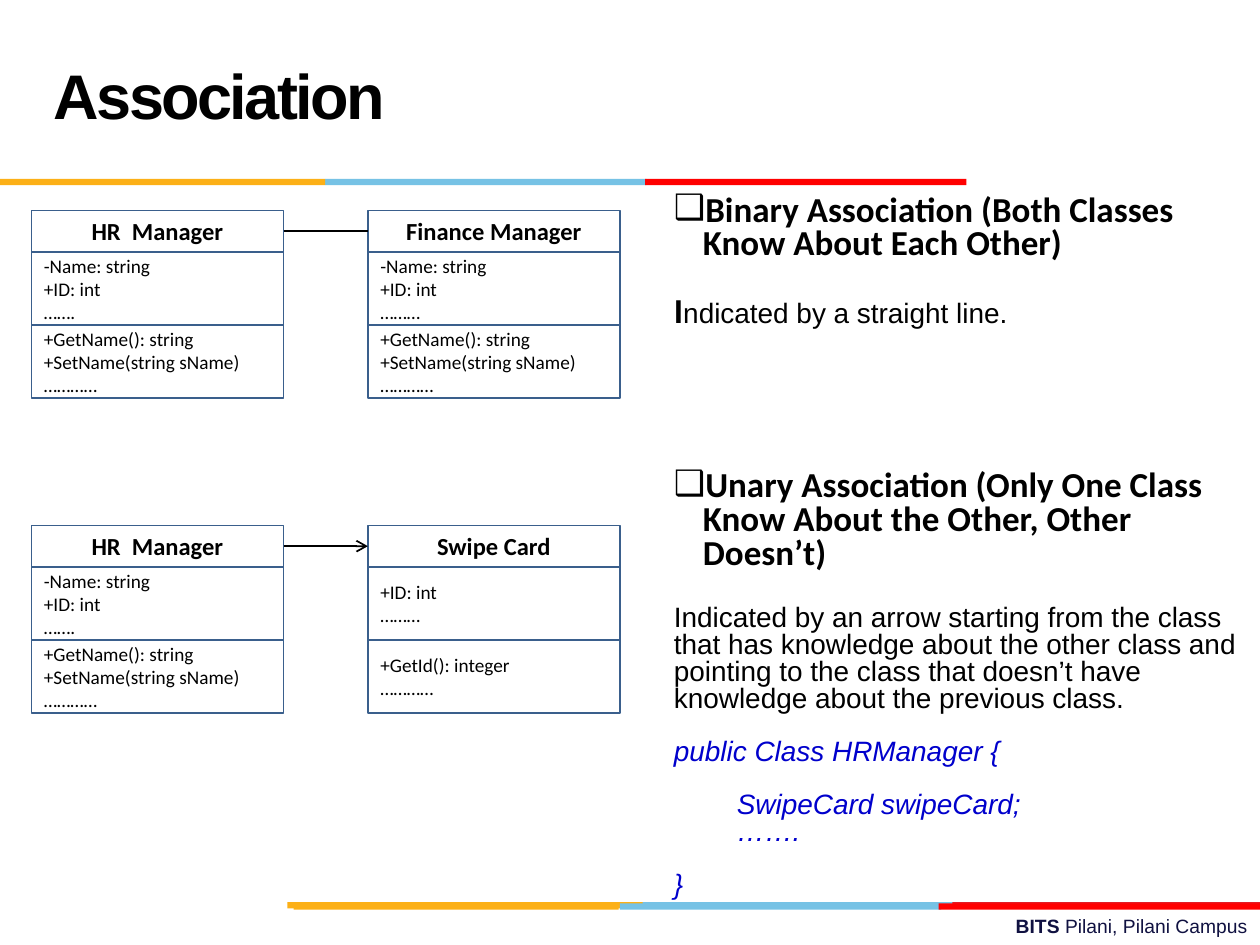
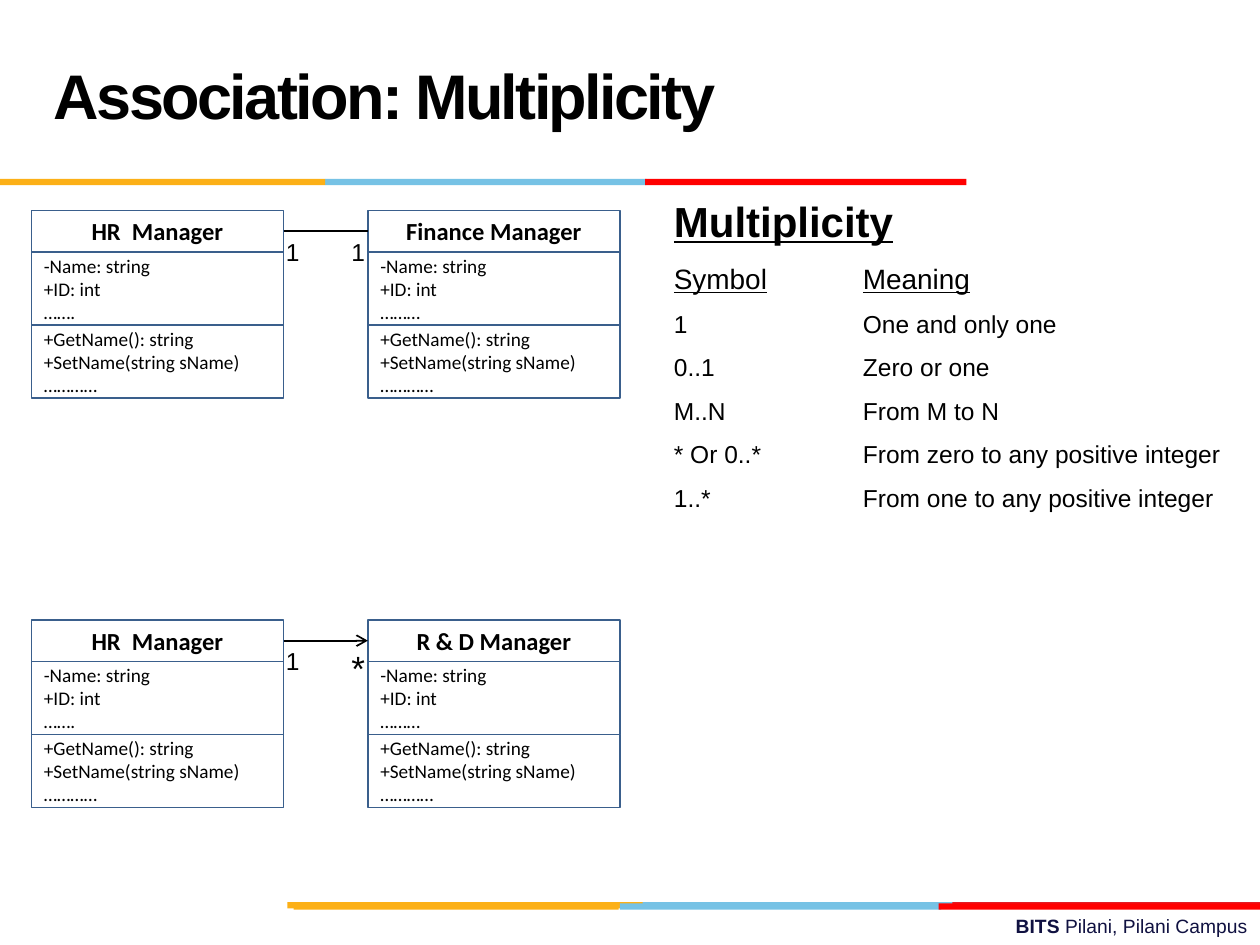
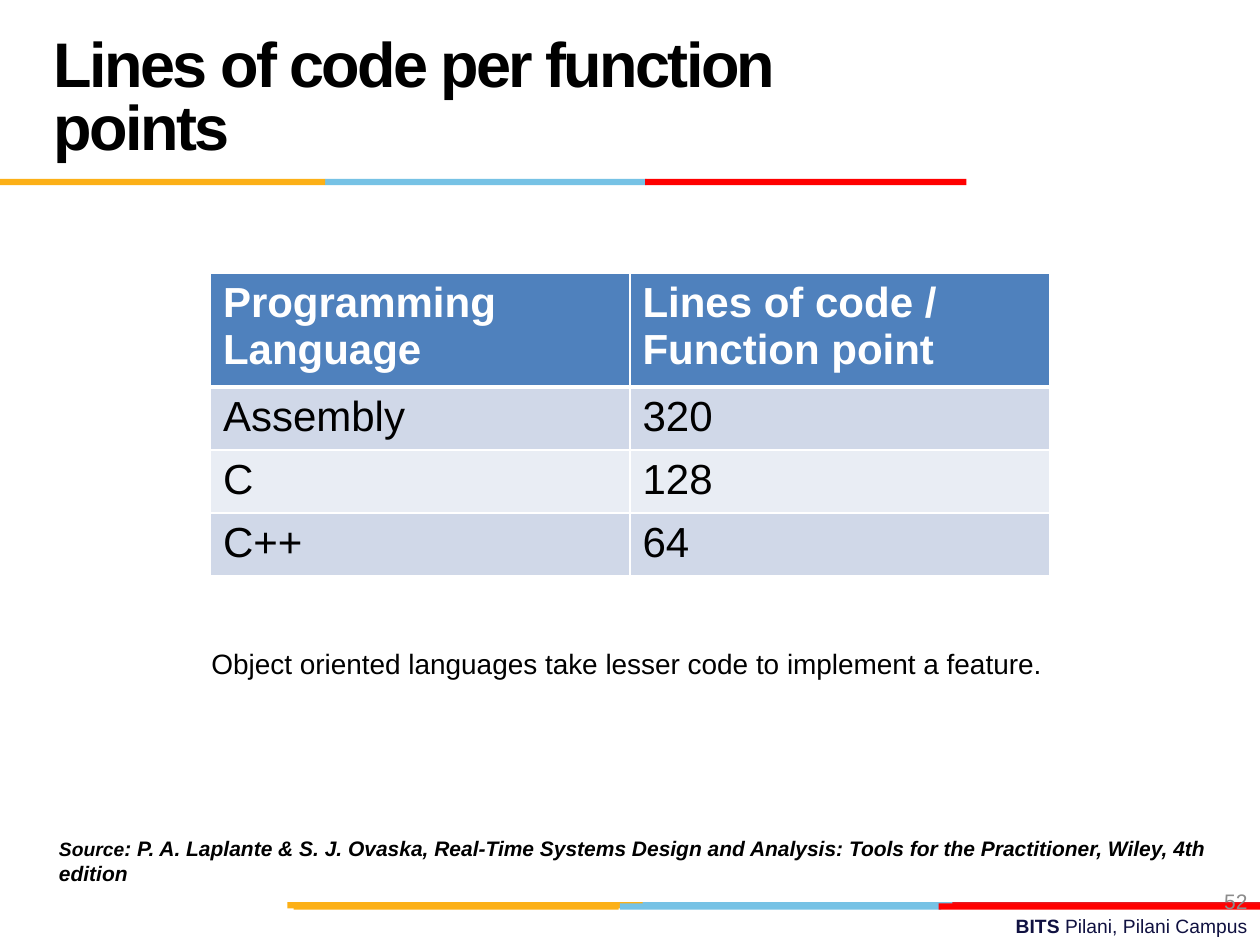
import pptx
import pptx.dml.color
import pptx.enum.shapes
import pptx.enum.text
import pptx.oxml.ns
import pptx.util
from lxml import etree

Inches = pptx.util.Inches
Pt = pptx.util.Pt
RGBColor = pptx.dml.color.RGBColor
qn = pptx.oxml.ns.qn
ALIGN = pptx.enum.text.PP_ALIGN
MIDDLE = pptx.enum.text.MSO_ANCHOR.MIDDLE
RECTANGLE = pptx.enum.shapes.MSO_SHAPE.RECTANGLE
STRAIGHT = pptx.enum.shapes.MSO_CONNECTOR.STRAIGHT

BLACK = RGBColor(0x00, 0x00, 0x00)
WHITE = RGBColor(0xFF, 0xFF, 0xFF)
NAVY = RGBColor(0x10, 0x11, 0x41)
GREY = RGBColor(0x8C, 0x8C, 0x8C)
CODE_BLUE = RGBColor(0x00, 0x00, 0xCC)
OUTLINE = RGBColor(0x3A, 0x5F, 0x8C)
ORANGE = RGBColor(0xFC, 0xB0, 0x17)
SKY = RGBColor(0x76, 0xC2, 0xE5)
CRIMSON = RGBColor(0xE3, 0x1C, 0x24)
RED = RGBColor(0xFF, 0x00, 0x00)
HEADER_BLUE = RGBColor(0x4F, 0x81, 0xBD)
ROW_FILLS = (RGBColor(0xD0, 0xD8, 0xE8), RGBColor(0xE9, 0xED, 0xF4))

# Each band: top, then (left, width, colour) of its segments
BANDS = (
    (7.16, ((5.06, 2.55, SKY), (7.56, 2.44, CRIMSON), (2.28, 2.82, ORANGE))),
    (7.17, ((4.92, 2.55, SKY), (2.33, 2.58, ORANGE), (7.45, 2.55, RED))),
    (1.42, ((2.58, 2.55, SKY), (0, 2.58, ORANGE), (5.12, 2.55, RED))),
)
BAND_HEIGHT = 0.05

CLASS_LEFTS = (0.25, 2.92)
CLASS_WIDTH = 2
NAME_HEIGHT = 0.33
MEMBERS_HEIGHT = 0.58
NOTES_BOX = (5.25, 1.5, 4.75, 5.58)

ACCESSORS = ("+GetName(): string", "+SetName(string sName)", "…………")
HR_MANAGER = ("HR  Manager", ("-Name: string", "+ID: int", "……."), ACCESSORS)
FINANCE_MANAGER = ("Finance Manager", ("-Name: string", "+ID: int", "………"), ACCESSORS)
RD_MANAGER = ("R & D Manager", ("-Name: string", "+ID: int", "………"), ACCESSORS)
SWIPE_CARD = ("Swipe Card", ("+ID: int", "………"), ("+GetId(): integer", "…………"))


def set_font(font, size, name="Arial", color=BLACK, bold=False, italic=False, underline=False):
    font.size = Pt(size)
    font.name = name
    font.color.rgb = color
    font.bold = bold
    font.italic = italic
    font.underline = underline


def add_text_box(page, box, anchor=None, wrap=True):
    left, top, width, height = map(Inches, box)
    frame = page.shapes.add_textbox(left, top, width, height).text_frame
    frame.word_wrap = wrap
    if anchor is not None:
        frame.vertical_anchor = anchor
    return frame


def add_para(frame, text="", size=16, align=ALIGN.LEFT, before=0, spacing=None,
             hang=None, bullet=None, tab=None, **style):
    """Fill the frame's empty first paragraph, or append one; hang is (margin, first line)."""
    para = frame.paragraphs[0]
    if para.runs:
        para = frame.add_paragraph()
    properties = para._p.get_or_add_pPr()
    if hang:
        properties.set("marL", str(Inches(hang[0])))
        properties.set("indent", str(Inches(hang[1])))
    if bullet:
        etree.SubElement(properties, qn("a:buFont"), typeface="Arial")
        etree.SubElement(properties, qn("a:buChar"), char=bullet)
    if tab:
        stops = etree.SubElement(properties, qn("a:tabLst"))
        etree.SubElement(stops, qn("a:tab"), pos=str(Inches(tab)), algn="l")
    para.alignment = align
    if before:
        para.space_before = Pt(before)
    if spacing:
        para.line_spacing = spacing
    set_font(para.font, size, **style)
    if text:
        para.add_run().text = text
    return para


def add_bands(page):
    for top, segments in BANDS:
        for left, width, color in segments:
            bar = page.shapes.add_shape(RECTANGLE, Inches(left), Inches(top),
                                        Inches(width), Inches(BAND_HEIGHT))
            bar.shadow.inherit = False
            bar.fill.solid()
            bar.fill.fore_color.rgb = color
            bar.line.fill.background()


def add_footer(page):
    frame = add_text_box(page, (3.58, 7.21, 6.42, 0.29))
    para = add_para(frame, "BITS ", 11, ALIGN.RIGHT, color=NAVY)
    para.runs[0].font.bold = True
    para.add_run().text = "Pilani, Pilani Campus"


def add_title(page, title):
    frame = add_text_box(page, (0.33, 0.17, 6.92, 1.25), MIDDLE)
    para = add_para(frame, title, 36, spacing=Pt(36), bold=True)
    para.runs[0]._r.get_or_add_rPr().set("spc", "-150")


def new_page(deck, title):
    page = deck.slides.add_slide(deck.slide_layouts[6])
    add_bands(page)
    add_footer(page)
    add_title(page, title)
    return page


def add_compartment(page, box, lines, size, align, bold=False):
    shape = page.shapes.add_shape(RECTANGLE, *map(Inches, box))
    shape.shadow.inherit = False
    shape.fill.background()
    shape.line.color.rgb = OUTLINE
    shape.line.width = Pt(1)
    shape.text_frame.word_wrap = True
    shape.text_frame.vertical_anchor = MIDDLE
    for line in lines:
        add_para(shape.text_frame, line, size, align, name="Calibri", bold=bold)
    return shape


def add_class(page, left, top, name, attributes, operations):
    """Stack name, attributes and operations; return the name compartment."""
    heading = add_compartment(page, (left, top, CLASS_WIDTH, NAME_HEIGHT), [name], 14,
                              ALIGN.CENTER, bold=True)
    for index, members in enumerate((attributes, operations)):
        box = (left, top + NAME_HEIGHT + index * MEMBERS_HEIGHT, CLASS_WIDTH, MEMBERS_HEIGHT)
        add_compartment(page, box, members, 11, ALIGN.LEFT)
    return heading


def add_association(page, top, classes, arrow=False, multiplicities=()):
    """Draw two joined classes; multiplicities holds (symbol, size) for each end."""
    source, target = (add_class(page, left, top, *parts)
                      for left, parts in zip(CLASS_LEFTS, classes))
    link = page.shapes.add_connector(STRAIGHT, 0, 0, 0, 0)
    link.begin_connect(source, 3)
    link.end_connect(target, 1)
    link.line.color.rgb = BLACK
    link.line.width = Pt(1)
    if arrow:
        etree.SubElement(link.line._get_or_add_ln(), qn("a:tailEnd"), type="arrow")
    etree.SubElement(link._element.spPr, qn("a:effectLst"))
    for left, (symbol, size) in zip((2.17, 2.69), multiplicities):
        frame = add_text_box(page, (left, top + 0.16, 0.31, 0.34), wrap=False)
        add_para(frame, symbol, size)


def add_association_notes(page, box):
    frame = add_text_box(page, box)
    heading = dict(size=20, name="Calibri", bold=True, spacing=0.8,
                   hang=(0.23, -0.23), bullet="❑")
    code = dict(spacing=0.8, color=CODE_BLUE, italic=True)

    add_para(frame, "Binary Association (Both Classes Know About Each Other)", **heading)
    para = add_para(frame, "I", before=19.5, spacing=0.8)
    set_font(para.runs[0].font, 20, "Calibri", bold=True)
    para.add_run().text = "ndicated by a straight line."

    add_para(frame, "Unary Association (Only One Class Know About the Other, Other Doesn’t)",
             before=80.5, **heading)
    add_para(frame, "Indicated by an arrow starting from the class that has knowledge about "
             "the other class and pointing to the class that doesn’t have knowledge about "
             "the previous class.", before=19.5, spacing=0.8)
    for line, before in (("public Class HRManager {", 15), ("\tSwipeCard swipeCard;", 15),
                         ("\t…….", 0), ("}", 15)):
        add_para(frame, line, before=before, **code)


def add_multiplicity_key(page, box):
    frame = add_text_box(page, box)
    add_para(frame, "Multiplicity", 24, bold=True, underline=True)
    para = add_para(frame, "Symbol", 16, before=9, tab=1.5)
    para.add_run().text = "\t"
    para.add_run().text = "Meaning"
    for word in para.runs[::2]:
        word.font.underline = True
    for symbol, meaning in (
        ("1", "One and only one"),
        ("0..1", "Zero or one"),
        ("M..N", "From M to N"),
        ("* Or 0..*", "From zero to any positive integer"),
        ("1..*", "From one to any positive integer"),
    ):
        add_para(frame, f"{symbol}\t{meaning}", 14, before=8, tab=1.5)


def set_border(cell, side, width):
    line = etree.SubElement(cell._tc.get_or_add_tcPr(), qn(f"a:ln{side}"), w=str(Pt(width)))
    fill = etree.SubElement(line, qn("a:solidFill"))
    etree.SubElement(fill, qn("a:srgbClr"), val=str(WHITE))


def add_language_table(page, left, top):
    rows = (("Programming Language", "Lines of code / Function point"),
            ("Assembly", "320"), ("C", "128"), ("C++", "64"))
    heights = (0.82, 0.47, 0.47, 0.47)
    table = page.shapes.add_table(len(rows), 2, Inches(left), Inches(top),
                                  Inches(6.66), Inches(sum(heights))).table
    for column in table.columns:
        column.width = Inches(3.33)
    for r, (values, height) in enumerate(zip(rows, heights)):
        table.rows[r].height = Inches(height)
        header = r == 0
        for c, value in enumerate(values):
            cell = table.cell(r, c)
            for side in "LRTB":
                thick = (header and side == "B") or (r == 1 and side == "T")
                set_border(cell, side, 3 if thick else 1)
            cell.fill.solid()
            cell.fill.fore_color.rgb = HEADER_BLUE if header else ROW_FILLS[(r - 1) % 2]
            add_para(cell.text_frame, value, 24, color=WHITE if header else BLACK, bold=header)


def add_source(page, box):
    frame = add_text_box(page, box)
    para = add_para(frame, "Source", 12, hang=(0.37, 0), bold=True, italic=True)
    para.runs[0].font.size = Pt(11)
    para.add_run().text = (": P. A. Laplante & S. J. Ovaska, Real-Time Systems Design and "
                           "Analysis: Tools for the Practitioner, Wiley, 4th edition")


def build_association(deck):
    page = new_page(deck, "Association")
    add_association_notes(page, NOTES_BOX)
    add_association(page, 1.67, (HR_MANAGER, FINANCE_MANAGER))
    add_association(page, 4.17, (HR_MANAGER, SWIPE_CARD), arrow=True)


def build_multiplicity(deck):
    page = new_page(deck, "Association: Multiplicity")
    add_multiplicity_key(page, NOTES_BOX)
    add_association(page, 1.67, (HR_MANAGER, FINANCE_MANAGER),
                    multiplicities=(("1", 14), ("1", 14)))
    add_association(page, 4.92, (HR_MANAGER, RD_MANAGER), arrow=True,
                    multiplicities=(("1", 14), ("*", 20)))


def build_lines_of_code(deck):
    page = new_page(deck, "Lines of code per function points")
    number = add_text_box(page, (7.67, 6.95, 2.33, 0.4), MIDDLE)
    add_para(number, "52", 12, ALIGN.RIGHT, color=GREY)
    add_language_table(page, 1.67, 2.17)
    remark = add_text_box(page, (1.58, 5.08, 7.08, 0.83))
    add_para(remark, "Object oriented languages take lesser code to implement a feature.")
    add_source(page, (0, 6.58, 10, 0.5))


def main():
    deck = pptx.Presentation()
    deck.slide_width = Inches(10)
    deck.slide_height = Inches(7.5)
    build_association(deck)
    build_multiplicity(deck)
    build_lines_of_code(deck)
    deck.save("out.pptx")


if __name__ == "__main__":
    main()
